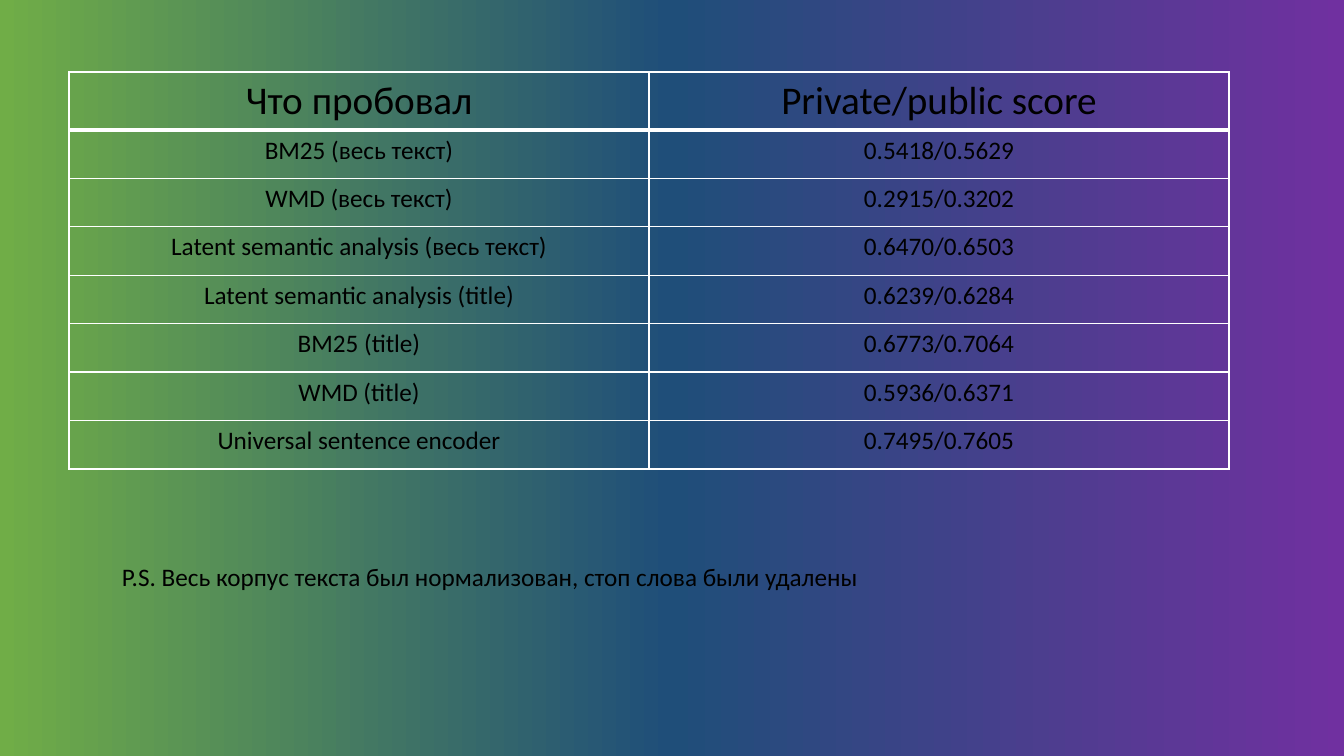
"""Build a slide comparing the scores of text search methods."""
import copy
import dataclasses

import lxml.etree
import pptx
import pptx.dml.color
import pptx.enum.text
import pptx.oxml.ns
import pptx.slide
import pptx.table
import pptx.text.text
import pptx.util

PIXEL = 914400 / 100.8
FONT = "Calibri"
COLOURS = {"start": "70AD47", "middle": "1F4E79", "end": "7030A0",
           "text": "000000", "border": "FFFFFF"}
HEADER_HEIGHT, BODY_HEIGHT = 58, 339
HEADER_SIZE, TEXT_SIZE = 28, 18
THIN, THICK = 1, 3


@dataclasses.dataclass(frozen=True)
class Result:
    method: str
    score: str


@dataclasses.dataclass(frozen=True)
class Area:
    left: int
    top: int
    width: int
    height: int

    def emu(self) -> list[pptx.util.Emu]:
        return [px(length) for length in dataclasses.astuple(self)]


HEADER = Result("Что пробовал", "Private/public score")
RESULTS = [
    Result("BM25 (весь текст)", "0.5418/0.5629"),
    Result("WMD (весь текст)", "0.2915/0.3202"),
    Result("Latent semantic analysis (весь текст)", "0.6470/0.6503"),
    Result("Latent semantic analysis (title)", "0.6239/0.6284"),
    Result("BM25 (title)", "0.6773/0.7064"),
    Result("WMD (title)", "0.5936/0.6371"),
    Result("Universal sentence encoder", "0.7495/0.7605"),
]
TABLE_AREA = Area(69, 72, 1160, HEADER_HEIGHT + BODY_HEIGHT)
NOTE_AREA = Area(112, 556, 957, 40)
NOTE = "P.S. Весь корпус текста был нормализован, стоп слова были удалены"


def px(length: float) -> pptx.util.Emu:
    return pptx.util.Emu(round(length * PIXEL))


def rgb(name: str) -> pptx.dml.color.RGBColor:
    return pptx.dml.color.RGBColor.from_string(COLOURS[name])


def format_text(frame: pptx.text.text.TextFrame, size: int) -> None:
    for para in frame.paragraphs:
        for span in para.runs:
            span.font.name = FONT
            span.font.size = pptx.util.Pt(size)
            span.font.bold = False
            span.font.color.rgb = rgb("text")


def paint_background(page: pptx.slide.Slide) -> None:
    fill = page.background.fill
    fill.gradient()
    fill.gradient_angle = 0
    stop_list = page.element.find(".//" + pptx.oxml.ns.qn("a:gsLst"))
    stop_list.append(copy.deepcopy(stop_list[-1]))
    names = ("start", "middle", "end")
    for stop, name, position in zip(fill.gradient_stops, names, (0, 0.5, 1)):
        stop.color.rgb = rgb(name)
        stop.position = position


def set_borders(cell: pptx.table._Cell, top: int, bottom: int) -> None:
    qn = pptx.oxml.ns.qn
    properties = cell._tc.get_or_add_tcPr()
    widths = {"L": THIN, "R": THIN, "T": top, "B": bottom}
    for index, (side, width) in enumerate(widths.items()):
        line = lxml.etree.Element(qn(f"a:ln{side}"), w=str(pptx.util.Pt(width)))
        fill = lxml.etree.SubElement(line, qn("a:solidFill"))
        lxml.etree.SubElement(fill, qn("a:srgbClr"), val=COLOURS["border"])
        properties.insert(index, line)


def add_results(page: pptx.slide.Slide) -> None:
    rows = [HEADER, *RESULTS]
    table = page.shapes.add_table(len(rows), 2, *TABLE_AREA.emu()).table
    table.first_row = table.horz_banding = False
    for index, result in enumerate(rows):
        is_header = index == 0
        height = HEADER_HEIGHT if is_header else BODY_HEIGHT / len(RESULTS)
        table.rows[index].height = px(height)
        for column, text in enumerate(dataclasses.astuple(result)):
            cell = table.cell(index, column)
            cell.text_frame.text = text
            cell.text_frame.paragraphs[0].alignment = pptx.enum.text.PP_ALIGN.CENTER
            format_text(cell.text_frame, HEADER_SIZE if is_header else TEXT_SIZE)
            cell.fill.background()
            set_borders(cell, THICK if index == 1 else THIN,
                        THICK if is_header else THIN)


def add_note(page: pptx.slide.Slide) -> None:
    frame = page.shapes.add_textbox(*NOTE_AREA.emu()).text_frame
    frame.word_wrap = True
    frame.auto_size = pptx.enum.text.MSO_AUTO_SIZE.SHAPE_TO_FIT_TEXT
    frame.text = NOTE
    format_text(frame, TEXT_SIZE)


def main() -> None:
    deck = pptx.Presentation()
    deck.slide_width, deck.slide_height = px(1344), px(756)
    page = deck.slides.add_slide(deck.slide_layouts[6])
    paint_background(page)
    add_results(page)
    add_note(page)
    deck.save("out.pptx")


main()
